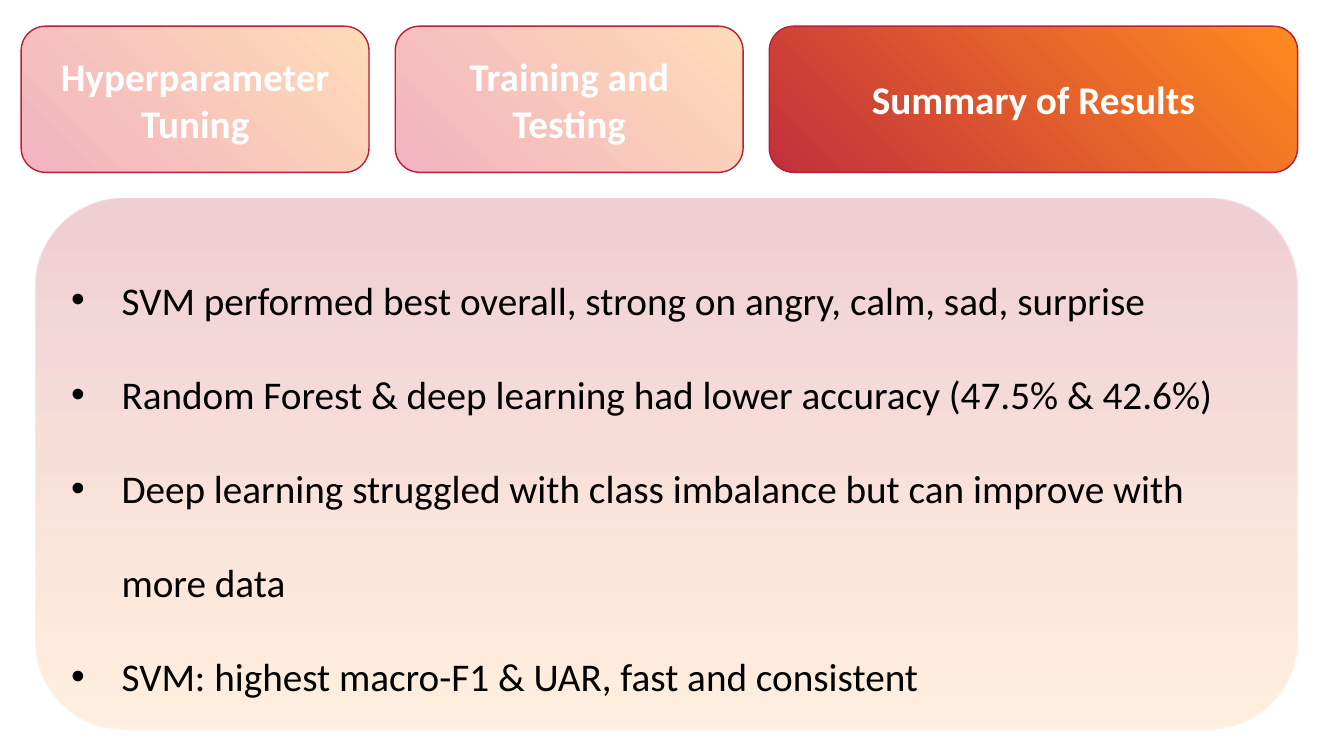
from pptx import Presentation
from pptx.dml.color import RGBColor
from pptx.enum.shapes import MSO_SHAPE
from pptx.enum.text import MSO_ANCHOR, PP_ALIGN
from pptx.oxml.ns import qn
from pptx.util import Inches, Pt
from lxml.etree import SubElement


def color(value):
    return RGBColor.from_string(value)


def add_gradient_box(page, left, top, width, height, stops, angle):
    box = page.shapes.add_shape(MSO_SHAPE.ROUNDED_RECTANGLE, Inches(left),
                                Inches(top), Inches(width), Inches(height))
    box.shadow.inherit = False
    box.fill.gradient()
    box.fill.gradient_angle = angle
    for stop, (position, value) in zip(box.fill.gradient_stops, stops):
        stop.position = position
        stop.color.rgb = color(value)
    box.text_frame.word_wrap = True
    box.text_frame.vertical_anchor = MSO_ANCHOR.MIDDLE
    return box


deck = Presentation()
deck.slide_width, deck.slide_height = Inches(13.33), Inches(7.5)
page = deck.slides.add_slide(deck.slide_layouts[6])

# Section tabs, with the current one in strong colours
FADED = [(0, "F2B4C0"), (1, "FFDBB7")]
ACTIVE = [(0, "C22F3C"), (1, "FF8B1E")]
TAB_GAP = 0.26
tabs = [
    ("Hyperparameter Tuning", 3.45, FADED),
    ("Training and Testing", 3.45, FADED),
    ("Summary of Results", 5.24, ACTIVE),
]
left = 0.21
for title, width, stops in tabs:
    tab = add_gradient_box(page, left, 0.26, width, 1.45, stops, 45)
    tab.line.color.rgb = color("B71F3C")
    tab.line.width = Pt(1)
    para = tab.text_frame.paragraphs[0]
    para.text = title
    para.alignment = PP_ALIGN.CENTER
    para.font.name = "Calibri"
    para.font.size = Pt(28)
    para.font.bold = True
    para.font.color.rgb = color("FFFFFF")
    left += width + TAB_GAP

# Translucent results panel
panel = add_gradient_box(page, 0.35, 1.97, 12.52, 5.27,
                         [(0.05, "B71F3C"), (1, "FF8C1A")], 270)
panel.line.fill.background()
stop_colors = panel._element.spPr.iter(qn("a:srgbClr"))
for stop_color, opacity in zip(stop_colors, (21, 13)):
    SubElement(stop_color, qn("a:alpha"), val=str(opacity * 1000))

# Bulleted findings
findings = [
    "SVM performed best overall, strong on angry, calm, sad, surprise",
    "Random Forest & deep learning had lower accuracy (47.5% & 42.6%)",
    "Deep learning struggled with class imbalance but can improve with more data",
    "SVM: highest macro-F1 & UAR, fast and consistent",
]
frame = panel.text_frame
for index, finding in enumerate(findings):
    para = frame.add_paragraph() if index else frame.paragraphs[0]
    para.text = finding
    para.alignment = PP_ALIGN.LEFT
    para.line_spacing = 2.0
    properties = para._p.get_or_add_pPr()
    properties.set("marL", str(Inches(0.5)))
    properties.set("indent", str(Inches(-0.5)))
    SubElement(properties, qn("a:buFont"), typeface="Arial")
    SubElement(properties, qn("a:buChar"), char="•")
    para.font.name = "Calibri"
    para.font.size = Pt(28)
    para.font.color.rgb = color("000000")

deck.save("out.pptx")
